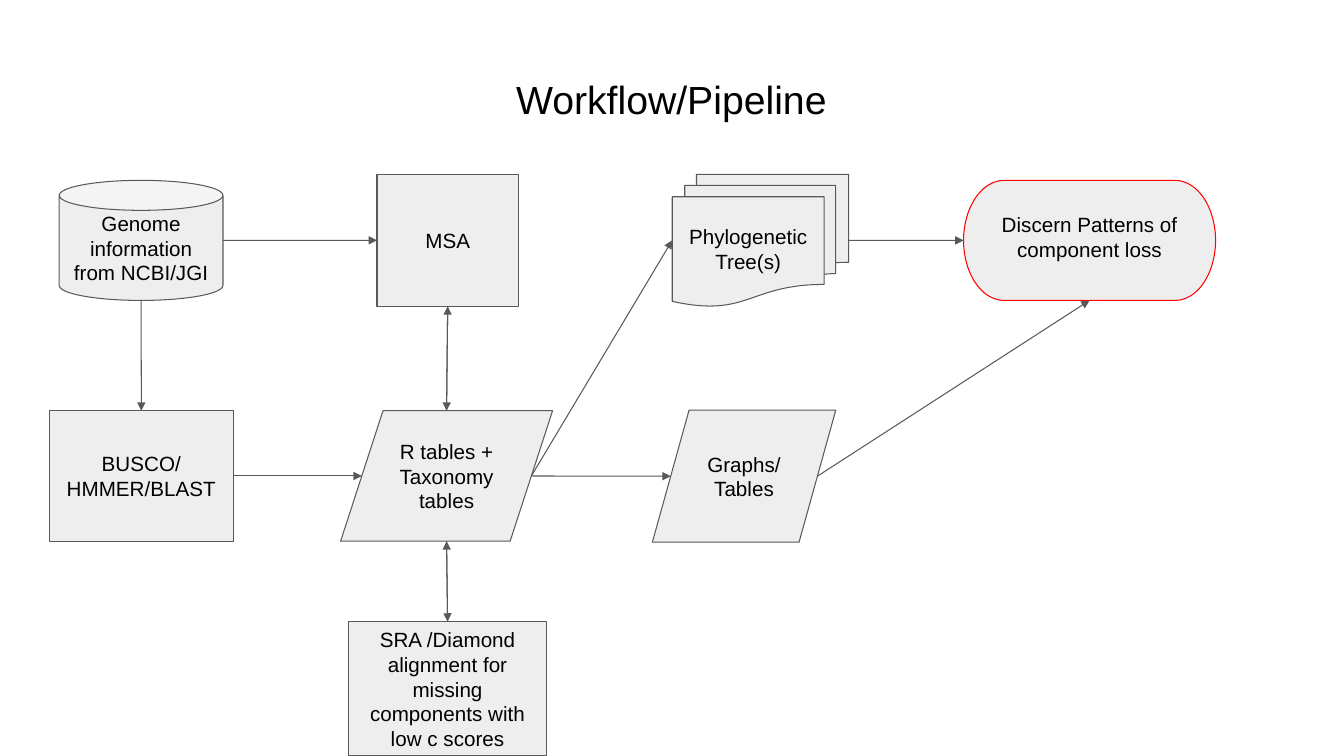
from dataclasses import dataclass

from lxml.etree import SubElement
from pptx import Presentation
from pptx.dml.color import RGBColor
from pptx.enum.shapes import MSO_CONNECTOR, MSO_SHAPE
from pptx.enum.text import MSO_ANCHOR, PP_ALIGN
from pptx.oxml.ns import qn
from pptx.slide import Slide
from pptx.text.text import TextFrame
from pptx.util import Pt

BLACK, GRAY, PALE, RED = "000000", "595959", "EEEEEE", "FF0000"
INSET = 9.6
LINE_WIDTH = 0.75


@dataclass(frozen=True)
class Stage:
    text: str
    kind: MSO_SHAPE
    left: float
    top: float
    width: float
    height: float
    outline: str = GRAY
    bottom_inset: float = INSET

    def anchor(self, side: str) -> tuple[float, float]:
        """Point in the middle of a side, on the slanted edge of a parallelogram."""
        slant = self.width / 10 if self.kind == MSO_SHAPE.FLOWCHART_DATA else 0
        center_x = self.left + self.width / 2
        center_y = self.top + self.height / 2
        return {
            "left": (self.left + slant, center_y),
            "right": (self.left + self.width - slant, center_y),
            "top": (center_x, self.top),
            "bottom": (center_x, self.top + self.height),
        }[side]


@dataclass(frozen=True)
class Link:
    start: str
    start_side: str
    end: str
    end_side: str


STAGES = {
    "genome": Stage("Genome information from NCBI/JGI", MSO_SHAPE.CAN,
                    42.3, 128.8, 117, 85.8),
    "msa": Stage("MSA", MSO_SHAPE.RECTANGLE, 269.3, 124.5, 101, 94.3),
    "trees": Stage("Phylogenetic Tree(s)", MSO_SHAPE.FLOWCHART_MULTIDOCUMENT,
                   480.2, 124.5, 126, 94.3),
    "patterns": Stage("Discern Patterns of component loss", MSO_SHAPE.FLOWCHART_TERMINATOR,
                      688.3, 128.8, 180, 85.8, RED, INSET + 5),
    "search": Stage("BUSCO/HMMER/BLAST", MSO_SHAPE.RECTANGLE, 35.3, 293.4, 131.3, 93.2),
    "tables": Stage("R tables + Taxonomy tables", MSO_SHAPE.FLOWCHART_DATA,
                    243.3, 293.4, 151.4, 93.2),
    "graphs": Stage("Graphs/Tables", MSO_SHAPE.FLOWCHART_DATA, 466, 293, 131, 94.3),
    "alignment": Stage("SRA /Diamond alignment for missing components with low c scores",
                       MSO_SHAPE.RECTANGLE, 248.8, 444, 141.8, 96),
}

LINKS = [
    Link("genome", "bottom", "search", "top"),
    Link("genome", "right", "msa", "left"),
    Link("search", "right", "tables", "left"),
    Link("msa", "bottom", "tables", "top"),
    Link("tables", "top", "msa", "bottom"),
    Link("tables", "bottom", "alignment", "top"),
    Link("alignment", "top", "tables", "bottom"),
    Link("tables", "right", "trees", "left"),
    Link("tables", "right", "graphs", "left"),
    Link("trees", "right", "patterns", "left"),
    Link("graphs", "right", "patterns", "bottom"),
]


def color(value: str) -> RGBColor:
    return RGBColor.from_string(value)


def write_text(frame: TextFrame, text: str, size: float, anchor: MSO_ANCHOR,
               bottom_inset: float = INSET) -> None:
    frame.word_wrap = True
    frame.vertical_anchor = anchor
    frame.margin_left = frame.margin_right = frame.margin_top = Pt(INSET)
    frame.margin_bottom = Pt(bottom_inset)
    para = frame.paragraphs[0]
    para.text = text
    para.alignment = PP_ALIGN.CENTER
    para.font.name = "Arial"
    para.font.size = Pt(size)
    para.font.color.rgb = color(BLACK)


def draw_title(page: Slide, text: str) -> None:
    box = page.shapes.add_textbox(Pt(32.4), Pt(44), Pt(894.2), Pt(60.5))
    write_text(box.text_frame, text, 28, MSO_ANCHOR.TOP)


def draw_stage(page: Slide, stage: Stage) -> None:
    shape = page.shapes.add_shape(stage.kind, Pt(stage.left), Pt(stage.top),
                                  Pt(stage.width), Pt(stage.height))
    shape.shadow.inherit = False
    shape.fill.solid()
    shape.fill.fore_color.rgb = color(PALE)
    shape.line.color.rgb = color(stage.outline)
    shape.line.width = Pt(LINE_WIDTH)
    write_text(shape.text_frame, stage.text, 14.7, MSO_ANCHOR.MIDDLE, stage.bottom_inset)


def draw_link(page: Slide, link: Link) -> None:
    start = STAGES[link.start].anchor(link.start_side)
    end = STAGES[link.end].anchor(link.end_side)
    arrow = page.shapes.add_connector(MSO_CONNECTOR.STRAIGHT,
                                      *(Pt(value) for value in start + end))
    arrow.line.color.rgb = color(GRAY)
    arrow.line.width = Pt(LINE_WIDTH)
    properties = arrow.element.spPr
    SubElement(properties.find(qn("a:ln")), qn("a:tailEnd"), type="triangle")
    SubElement(properties, qn("a:effectLst"))


def main() -> None:
    deck = Presentation()
    deck.slide_width, deck.slide_height = Pt(960), Pt(540)
    page = deck.slides.add_slide(deck.slide_layouts[6])
    draw_title(page, "Workflow/Pipeline")
    for stage in STAGES.values():
        draw_stage(page, stage)
    for link in LINKS:
        draw_link(page, link)
    deck.save("out.pptx")


if __name__ == "__main__":
    main()
